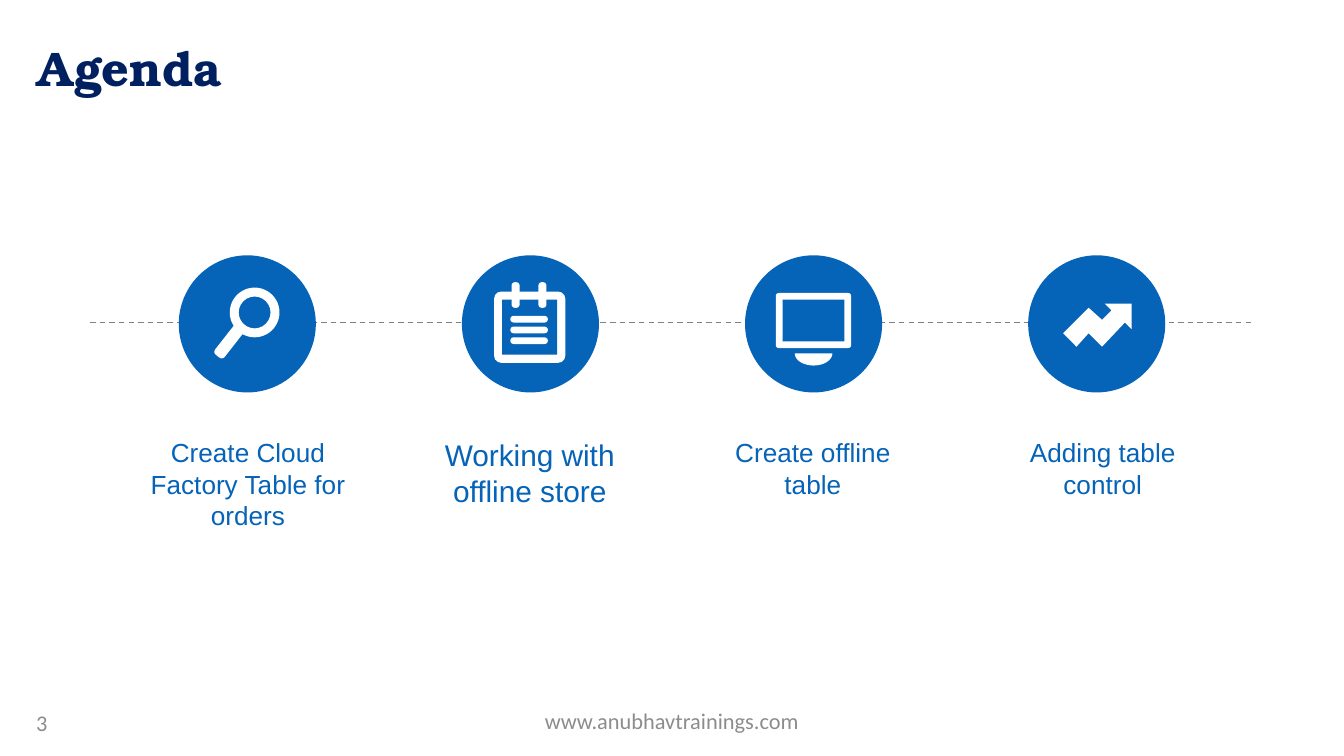
import math
from dataclasses import dataclass

import pptx
import pptx.dml.color
import pptx.enum.dml
import pptx.enum.shapes
import pptx.enum.text
import pptx.oxml
import pptx.util
from pptx.util import Inches

SHAPE = pptx.enum.shapes.MSO_SHAPE
ALIGN = pptx.enum.text.PP_ALIGN
ANCHOR = pptx.enum.text.MSO_ANCHOR


def rgb(code):
    return pptx.dml.color.RGBColor.from_string(code)


@dataclass(frozen=True)
class Theme:
    navy = rgb("002060")
    blue = rgb("0563B8")
    white = rgb("FFFFFF")
    line_gray = rgb("808080")
    footer_gray = rgb("8C8C8C")
    title_font = "TeX Gyre Bonum"
    label_font = "Arial"
    footer_font = "Calibri"
    title_size = 26
    label_size = 14
    large_label_size = 16
    footer_size = 12


THEME = Theme()


# Basic parts
def add_text(page, box, text, font, size, color, align=ALIGN.LEFT,
             anchor=ANCHOR.TOP, bold=False):
    frame = page.shapes.add_textbox(*map(Inches, box)).text_frame
    frame.word_wrap = True
    frame.vertical_anchor = anchor
    para = frame.paragraphs[0]
    para.text = text
    para.alignment = align
    para.font.name = font
    para.font.size = pptx.util.Pt(size)
    para.font.bold = bold
    para.font.color.rgb = color


def paint(shape, color):
    shape.shadow.inherit = False
    shape.fill.solid()
    shape.fill.fore_color.rgb = color
    shape.line.fill.background()


def add_preset(page, kind, box, color=THEME.white, adjust=None):
    shape = page.shapes.add_shape(kind, *map(Inches, box))
    if adjust is not None:
        shape.adjustments[0] = adjust
    paint(shape, color)
    return shape


def add_outline(page, left, top, points):
    corners = [(Inches(left + x), Inches(top + y)) for x, y in points]
    builder = page.shapes.build_freeform(*corners[0])
    builder.add_line_segments(corners[1:], close=True)
    paint(builder.convert_to_shape(), THEME.white)


def add_frame(page, box, border, rounding):
    left, top, width, height = box
    add_preset(page, SHAPE.ROUNDED_RECTANGLE, box, adjust=rounding)
    inner = (left + border, top + border, width - 2 * border, height - 2 * border)
    add_preset(page, SHAPE.RECTANGLE, inner, THEME.blue)


# Icons, each placed from the corner of its circle
def draw_magnifier(page, left, top):
    add_preset(page, SHAPE.DONUT, (left + 0.38, top + 0.24, 0.37, 0.37), adjust=0.18)
    handle = add_preset(page, SHAPE.ROUNDED_RECTANGLE,
                        (left + 0.33, top + 0.5, 0.09, 0.28), adjust=0.3)
    handle.rotation = 38


def draw_notepad(page, left, top):
    add_frame(page, (left + 0.24, top + 0.27, 0.53, 0.53), 0.06, 0.1)
    for x in (0.37, 0.57):
        add_preset(page, SHAPE.ROUNDED_RECTANGLE,
                   (left + x, top + 0.2, 0.06, 0.19), adjust=0.4)
    for row in range(3):
        add_preset(page, SHAPE.ROUNDED_RECTANGLE,
                   (left + 0.36, top + 0.45 + 0.08 * row, 0.28, 0.05), adjust=0.5)


def draw_monitor(page, left, top):
    add_frame(page, (left + 0.23, top + 0.28, 0.56, 0.41), 0.05, 0.05)
    # Stand: the lower half of a flat ellipse
    steps = 16
    angles = [math.pi * step / steps for step in range(steps + 1)]
    add_outline(page, left, top,
                [(0.51 + 0.14 * math.cos(a), 0.73 + 0.09 * math.sin(a)) for a in angles])


def draw_trend(page, left, top):
    add_outline(page, left, top, [
        (0.57, 0.36), (0.77, 0.36), (0.77, 0.55), (0.72, 0.5), (0.55, 0.68),
        (0.45, 0.58), (0.36, 0.68), (0.26, 0.58), (0.45, 0.39), (0.55, 0.48),
        (0.62, 0.41)])


# Slide regions
def add_step(page, box, label, size, draw_icon, label_shift):
    left, top, width, height = box
    circle = 1.02
    circle_left = left + 0.36
    add_preset(page, SHAPE.OVAL, (circle_left, top, circle, circle), THEME.blue)
    draw_icon(page, circle_left, top)
    add_text(page, (left + label_shift, top + 1.3, width, height - 1.3), label,
             THEME.label_font, size, THEME.blue, ALIGN.CENTER)


def add_timeline(page, box):
    left, top, width, height = box
    line = page.shapes.add_connector(
        pptx.enum.shapes.MSO_CONNECTOR.STRAIGHT,
        *map(Inches, (left, top + 0.5, left + width, top + 0.5)))
    line.line.color.rgb = THEME.line_gray
    line.line.width = pptx.util.Pt(0.75)
    line.line.dash_style = pptx.enum.dml.MSO_LINE.DASH
    properties = line._element.spPr
    properties.append(pptx.oxml.parse_xml(
        '<a:effectLst xmlns:a="http://schemas.openxmlformats.org/drawingml/2006/main"/>'))

    steps = [
        ("Create Cloud Factory Table for orders", THEME.label_size, draw_magnifier, 0),
        ("Working with offline store", THEME.large_label_size, draw_notepad, -0.01),
        ("Create offline table", THEME.label_size, draw_monitor, -0.01),
        ("Adding table control", THEME.label_size, draw_trend, 0.04),
    ]
    pitch = 6.32 / (len(steps) - 1)
    for index, step in enumerate(steps):
        add_step(page, (left + 0.3 + index * pitch, top, 1.75, height), *step)


def add_footer(page, box):
    left, top, width, height = box
    style = (THEME.footer_font, THEME.footer_size, THEME.footer_gray)
    add_text(page, (left, top + 0.02, 2.33, height), "3", *style, anchor=ANCHOR.MIDDLE)
    add_text(page, (left + (width - 3.17) / 2, top, 3.17, height),
             "www.anubhavtrainings.com", *style, ALIGN.CENTER, ANCHOR.MIDDLE)


def main():
    deck = pptx.Presentation()
    # Widescreen, 16:9
    deck.slide_width = Inches(10)
    deck.slide_height = deck.slide_width * 9 // 16
    page = deck.slides.add_slide(deck.slide_layouts[6])
    add_text(page, (0.18, 0.23, 9, 0.58), "Agenda", THEME.title_font,
             THEME.title_size, THEME.navy, bold=True)
    add_timeline(page, (0.67, 1.9, 8.66, 2.11))
    add_footer(page, (0.17, 5.21, 9.66, 0.3))
    deck.save("out.pptx")


if __name__ == "__main__":
    main()
